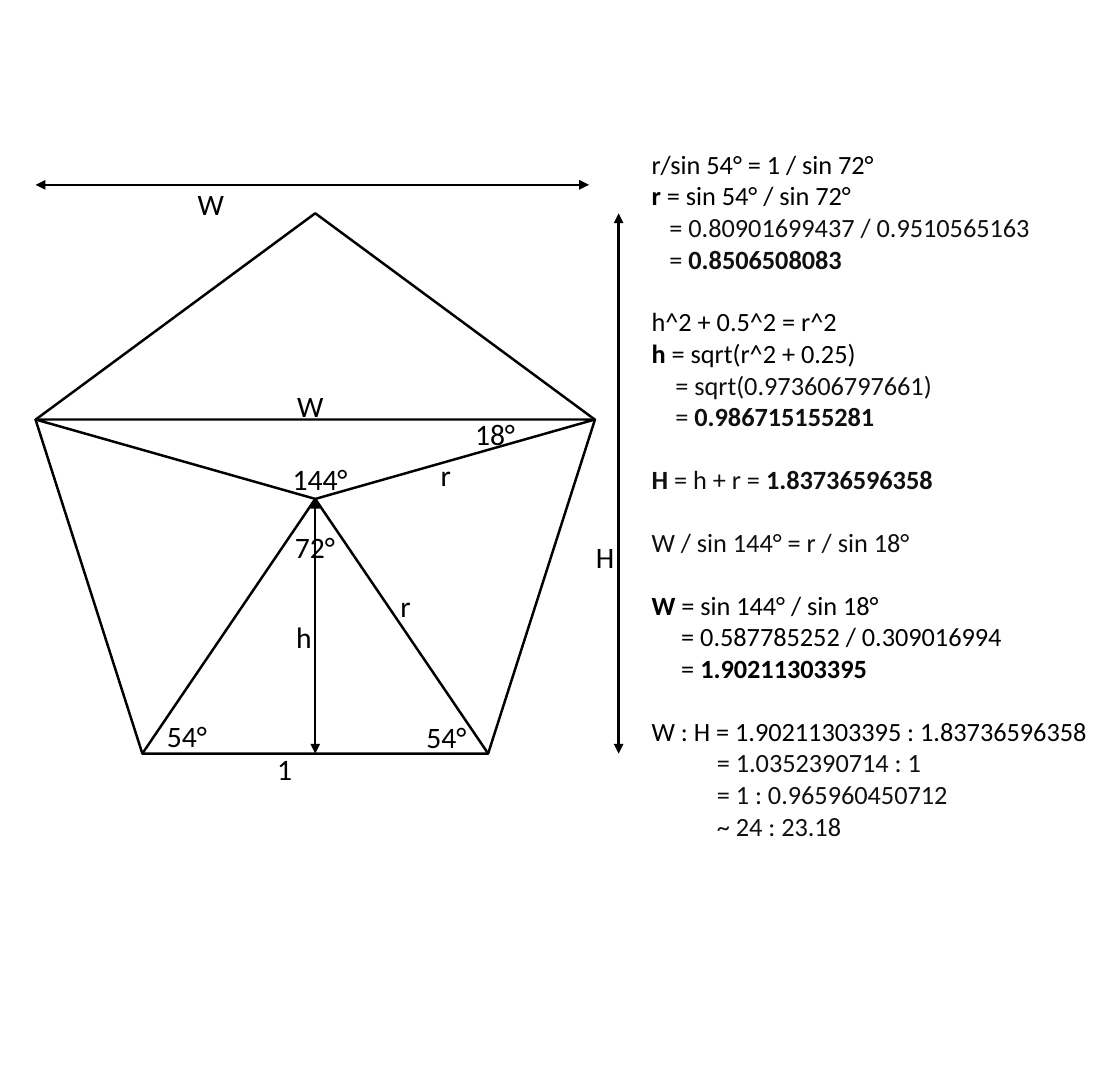
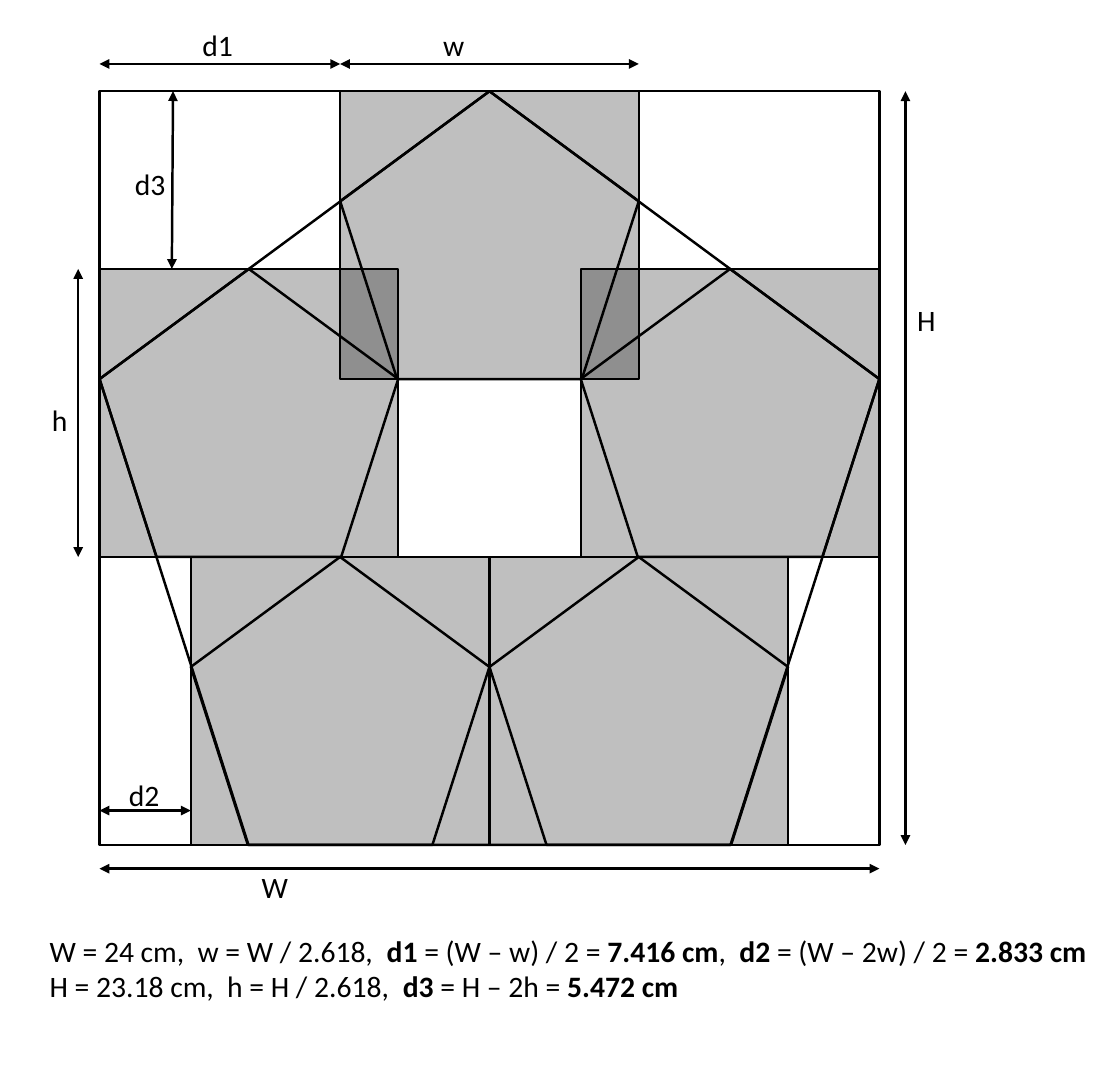
"""Build two slides on the proportions of a pentagon and of five pentagons inside it."""
import lxml.etree
import pptx
import pptx.dml.color
import pptx.enum.shapes
import pptx.enum.text
import pptx.oxml.ns
import pptx.util

Inches = pptx.util.Inches
Pt = pptx.util.Pt
qn = pptx.oxml.ns.qn
MSO_SHAPE = pptx.enum.shapes.MSO_SHAPE

BLACK = pptx.dml.color.RGBColor(0x00, 0x00, 0x00)
INK = pptx.dml.color.RGBColor(0x10, 0x10, 0x10)
STROKE = Pt(1.5)
LABEL_HEIGHT = 0.4

PENTAGON = MSO_SHAPE.REGULAR_PENTAGON
TRIANGLE = MSO_SHAPE.ISOSCELES_TRIANGLE
RECTANGLE = MSO_SHAPE.RECTANGLE


def draw_line(slide, start, end, arrows=True):
    line = slide.shapes.add_connector(
        pptx.enum.shapes.MSO_CONNECTOR.STRAIGHT, *map(Inches, start + end))
    line.line.color.rgb = BLACK
    line.line.width = STROKE
    properties = line._element.spPr
    if arrows:
        for tag in ("a:headEnd", "a:tailEnd"):
            lxml.etree.SubElement(properties.find(qn("a:ln")), qn(tag), type="triangle")
    lxml.etree.SubElement(properties, qn("a:effectLst"))


def write_lines(slide, box, lines, size=18, wrap=False):
    frame = slide.shapes.add_textbox(*map(Inches, box)).text_frame
    frame.word_wrap = wrap
    frame.auto_size = pptx.enum.text.MSO_AUTO_SIZE.SHAPE_TO_FIT_TEXT
    for number, (text, indent, gap, color) in enumerate(lines):
        paragraph = frame.paragraphs[0] if number == 0 else frame.add_paragraph()
        properties = paragraph._p.get_or_add_pPr()
        properties.set("marL", str(Inches(indent)))
        properties.set("indent", "0")
        if gap:
            paragraph.space_before = Pt(gap)
        for part, words in enumerate(text.split("*")):
            if words:
                run = paragraph.add_run()
                run.text = words
                run.font.color.rgb = color
                style = {"name": "Calibri", "size": Pt(size), "bold": part % 2 == 1}
                for key, value in style.items():
                    setattr(run.font, key, value)


deck = pptx.Presentation()
deck.slide_width = Inches(9.45)
deck.slide_height = Inches(9.13)
blank = deck.slide_layouts[6]
derivation = deck.slides.add_slide(blank)
layout_plan = deck.slides.add_slide(blank)

center = (2.66, 4.21)
base_y = 6.36

whole_left, whole_top, whole_width, whole_height = 0.84, 0.77, 6.58, 6.36
small_width, small_height = 2.52, 2.43
whole_right = whole_left + whole_width
whole_bottom = whole_top + whole_height
d1 = (whole_width - small_width) / 2
d2 = (whole_width - 2 * small_width) / 2
d3 = whole_height - 2 * small_height
top_left = whole_left + d1
middle_top = whole_top + d3
lower_left = whole_left + d2
lower_top = whole_bottom - small_height

whole = (whole_left, whole_top, whole_width, whole_height)
small_boxes = [
    (left, top, small_width, small_height)
    for left, top in (
        (lower_left, lower_top),
        (lower_left + small_width, lower_top),
        (top_left, whole_top),
        (whole_right - small_width, middle_top),
        (whole_left, middle_top),
    )
]

outlines = [
    (derivation, PENTAGON, (0.3, 1.8, 4.72, 4.56), 0, False),
    (derivation, TRIANGLE, (0.3, 3.54, 4.72, 0.67), 180, False),
    (layout_plan, PENTAGON, whole, 0, False),
]
outlines += [(layout_plan, PENTAGON, box, 0, False) for box in small_boxes]
outlines += [(layout_plan, RECTANGLE, whole, 0, False)]
outlines += [(layout_plan, RECTANGLE, box, 0, True) for box in small_boxes]

for slide, kind, box, turn, shaded in outlines:
    outline = slide.shapes.add_shape(kind, *map(Inches, box))
    outline.shadow.inherit = False
    outline.rotation = turn
    outline.line.color.rgb = BLACK
    outline.line.width = STROKE
    if shaded:
        outline.fill.solid()
        outline.fill.fore_color.rgb = BLACK
        shade = outline._element.spPr.find(qn("a:solidFill")).find(qn("a:srgbClr"))
        lxml.etree.SubElement(shade, qn("a:alpha"), val="25000")
    else:
        outline.fill.background()

for corner_x in (1.2, 4.12):
    draw_line(derivation, center, (corner_x, base_y), arrows=False)

dimensions = [
    (derivation, (0.3, 1.56), (4.97, 1.56)),
    (derivation, (5.22, 1.8), (5.22, base_y)),
    (derivation, center, (center[0], base_y)),
    (layout_plan, (whole_left, 7.33), (whole_right, 7.33)),
    (layout_plan, (7.64, whole_top), (7.64, whole_bottom)),
    (layout_plan, (top_left, 0.54), (top_left + small_width, 0.54)),
    (layout_plan, (whole_left, 0.54), (top_left, 0.54)),
    (layout_plan, (whole_left, 6.84), (lower_left, 6.84)),
    (layout_plan, (0.66, middle_top), (0.66, lower_top)),
    (layout_plan, (1.46, whole_top), (1.45, middle_top)),
]
for slide, start, end in dimensions:
    draw_line(slide, start, end)

labels = [
    (derivation, "1", 2.24, 6.29, 0.33),
    (derivation, "72°", 2.39, 4.41, 0.54),
    (derivation, "54°", 1.31, 6.01, 0.54),
    (derivation, "54°", 3.5, 6.02, 0.54),
    (derivation, "r", 3.28, 4.91, 0.29),
    (derivation, "H", 4.93, 4.5, 0.36),
    (derivation, "W", 1.57, 1.52, 0.43),
    (derivation, "h", 2.4, 5.17, 0.34),
    (derivation, "W", 2.41, 3.22, 0.43),
    (derivation, "144°", 2.37, 3.84, 0.67),
    (derivation, "r", 3.62, 3.81, 0.29),
    (derivation, "18°", 3.91, 3.46, 0.54),
    (layout_plan, "W", 2.11, 7.28, 0.43),
    (layout_plan, "H", 7.64, 2.5, 0.36),
    (layout_plan, "w", 3.64, 0.18, 0.38),
    (layout_plan, "d1", 1.61, 0.18, 0.46),
    (layout_plan, "d2", 0.99, 6.51, 0.46),
    (layout_plan, "h", 0.34, 3.34, 0.34),
    (layout_plan, "d3", 1.04, 1.35, 0.46),
]
for slide, text, left, top, width in labels:
    write_lines(slide, (left, top, width, LABEL_HEIGHT), [(text, 0, 0, BLACK)])

step_gap = 19
steps = [
    ("r/sin 54° = 1 / sin 72°", 0, 0, BLACK),
    ("*r* = sin 54° / sin 72°", 0, 0, BLACK),
    ("= 0.80901699437 / 0.9510565163", 0.15, 0, INK),
    ("= *0.8506508083*", 0.15, 0, INK),
    ("h^2 + 0.5^2 = r^2", 0, step_gap, BLACK),
    ("*h* = sqrt(r^2 + 0.25)", 0, 0, BLACK),
    ("= sqrt(0.973606797661)", 0.2, 0, INK),
    ("= *0.986715155281*", 0.2, 0, INK),
    ("*H* = h + r = *1.83736596358*", 0, step_gap, INK),
    ("W / sin 144° = r / sin 18°", 0, step_gap, INK),
    ("*W* = sin 144° / sin 18°", 0, step_gap, BLACK),
    ("= 0.587785252 / 0.309016994", 0.25, 0, BLACK),
    ("= *1.90211303395*", 0.25, 0, BLACK),
    ("W : H = 1.90211303395 : 1.83736596358", 0, step_gap, BLACK),
    ("= 1.0352390714 : 1", 0.55, 0, INK),
    ("= 1 : 0.965960450712", 0.55, 0, INK),
    ("~ 24 : 23.18", 0.55, 0, INK),
]
write_lines(derivation, (5.4, 1.2, 4, 6.02), steps, size=16, wrap=True)

measures = [
    ("W = 24 cm,  w = W / 2.618,  *d1* = (W – w) / 2 = *7.416 cm*,  "
     "*d2* = (W – 2w) / 2 = *2.833 cm*", 0, 0, BLACK),
    ("H = 23.18 cm,  h = H / 2.618,  *d3* = H – 2h = *5.472 cm*", 0, 0, BLACK),
]
write_lines(layout_plan, (0.32, 7.82, 9.1, 0.71), measures, wrap=True)

deck.save("out.pptx")
